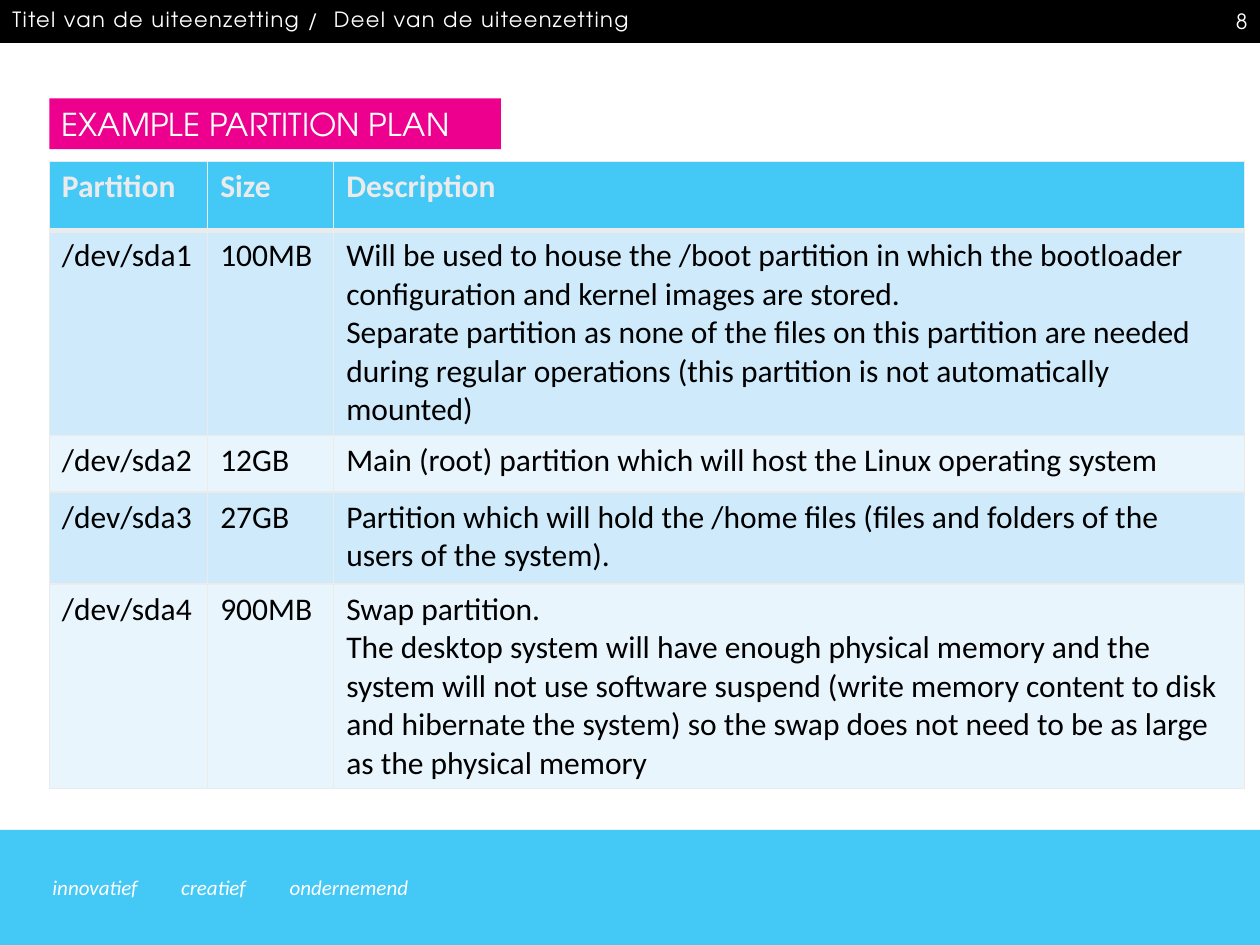
from pptx import Presentation
from pptx.dml.color import RGBColor
from pptx.enum.shapes import MSO_SHAPE as SHAPE
from pptx.enum.text import MSO_ANCHOR as ANCHOR, MSO_AUTO_SIZE as AUTO, PP_ALIGN as ALIGN
from pptx.oxml import parse_xml
from pptx.oxml.ns import nsdecls
from pptx.util import Pt

THEME = {
    "sky": "44C8F5", "black": "000000", "magenta": "ED008D", "white": "FFFFFF",
    "grid": "EBEBEB", "bands": ("CFEBFB", "E9F5FD"),
    "body": "Calibri", "display": "TeX Gyre Adventor",
    "small": 12, "large": 18,
}
COLUMNS = (90.5, 72, 520.5)
ROWS = (
    (39.5, ("Partition", "Size", "Description")),
    (117, ("/dev/sda1", "100MB",
           "Will be used to house the /boot partition in which the bootloader "
           "configuration and kernel images are stored.\n"
           "Separate partition as none of the files on this partition are needed "
           "during regular operations (this partition is not automatically mounted)")),
    (32.4, ("/dev/sda2", "12GB",
            "Main (root) partition which will host the Linux operating system")),
    (52.5, ("/dev/sda3", "27GB",
            "Partition which will hold the /home files (files and folders of the "
            "users of the system).")),
    (117, ("/dev/sda4", "900MB",
           "Swap partition.\n"
           "The desktop system will have enough physical memory and the system will "
           "not use software suspend (write memory content to disk and hibernate the "
           "system) so the swap does not need to be as large as the physical memory")),
)


def write(tf, text, font, size, color, align=ALIGN.LEFT, spacing=0, **style):
    """Fill a text frame and format each of its paragraphs."""
    tf.text = text
    for p in tf.paragraphs:
        p.alignment = align
        for r in p.runs:
            r.font.color.rgb = RGBColor.from_string(color)
            values = {"name": font, "size": Pt(size), **style}
            for name, value in values.items():
                setattr(r.font, name, value)
            if spacing:
                r.font._element.set("spc", str(round(spacing * 100)))


def add_text(box, text, font, frame, **style):
    """Add a small white text box with the given frame settings."""
    tf = s.shapes.add_textbox(*map(Pt, box)).text_frame
    for name, value in frame.items():
        setattr(tf, name, value)
    write(tf, text, font, THEME["small"], THEME["white"], **style)


prs = Presentation()
prs.slide_width, prs.slide_height = Pt(720), Pt(540)
s = prs.slides.add_slide(prs.slide_layouts[5])

# Footer and header bands
for top, height, color in ((474.2, 65.8, "sky"), (0, 24.5, "black")):
    sp = s.shapes.add_shape(SHAPE.RECTANGLE, 0, Pt(top), Pt(720), Pt(height))
    sp.shadow.inherit = False
    sp.fill.solid()
    sp.fill.fore_color.rgb = RGBColor.from_string(THEME[color])
    sp.line.fill.background()

# Footer words
for left, width, word in ((30, 56, "innovatief"), (103.5, 45, "creatief"),
                          (165.5, 75.5, "ondernemend")):
    add_text((left, 496.3, width, 21.8), word, THEME["body"],
             {"margin_left": 0, "word_wrap": False, "auto_size": AUTO.SHAPE_TO_FIT_TEXT},
             italic=True)

# Title
title = s.shapes.title
for name, value in {"left": 28.2, "top": 56.2, "width": 258, "height": 29}.items():
    setattr(title, name, Pt(value))
title.fill.solid()
title.fill.fore_color.rgb = RGBColor.from_string(THEME["magenta"])
tf = title.text_frame
for name, value in {"word_wrap": True, "auto_size": AUTO.NONE,
                    "vertical_anchor": ANCHOR.MIDDLE}.items():
    setattr(tf, name, value)
write(tf, "EXAMPLE PARTITION PLAN", THEME["display"], THEME["large"], THEME["white"])

# Header text and page number
add_text((0, 0, 677.5, 24.5), "Titel van de uiteenzetting /  Deel van de uiteenzetting",
         THEME["display"], {"margin_right": 0, "word_wrap": True}, spacing=0.8)
add_text((677.5, 0, 42.5, 24.5), "8", THEME["display"],
         {"word_wrap": True, "vertical_anchor": ANCHOR.MIDDLE},
         align=ALIGN.RIGHT, spacing=1.5)

# Partition table
table = s.shapes.add_table(len(ROWS), len(COLUMNS), Pt(28.2), Pt(92.3),
                           Pt(sum(COLUMNS)), Pt(sum(h for h, _ in ROWS))).table
for column, width in zip(table.columns, COLUMNS):
    column.width = Pt(width)
for i, (height, texts) in enumerate(ROWS):
    table.rows[i].height = Pt(height)
    header = i == 0
    fill = THEME["sky"] if header else THEME["bands"][(i - 1) % 2]
    for j, text in enumerate(texts):
        cell = table.cell(i, j)
        write(cell.text_frame, text, THEME["body"], THEME["large"],
              THEME["grid" if header else "black"], bold=header)
        cell.fill.solid()
        cell.fill.fore_color.rgb = RGBColor.from_string(fill)
        # Borders come before the fill; the line under the header is heavier
        tcPr = cell._tc.get_or_add_tcPr()
        for k, side in enumerate("LRTB"):
            heavy = (i, side) in ((0, "B"), (1, "T"))
            tcPr.insert(k, parse_xml(
                f'<a:ln{side} {nsdecls("a")} w="{Pt(3 if heavy else 1)}"><a:solidFill>'
                f'<a:srgbClr val="{THEME["grid"]}"/></a:solidFill></a:ln{side}>'))

prs.save("out.pptx")
